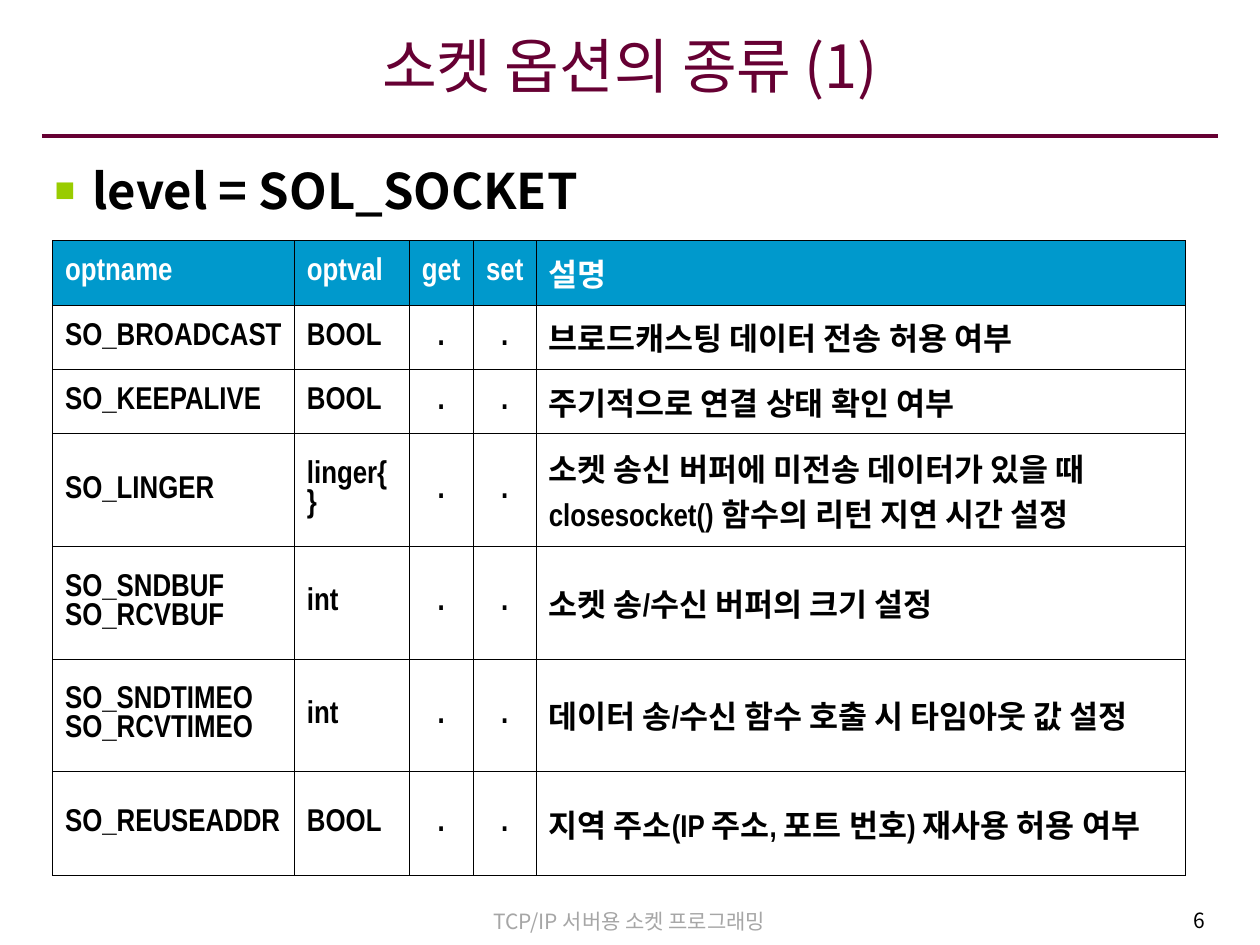
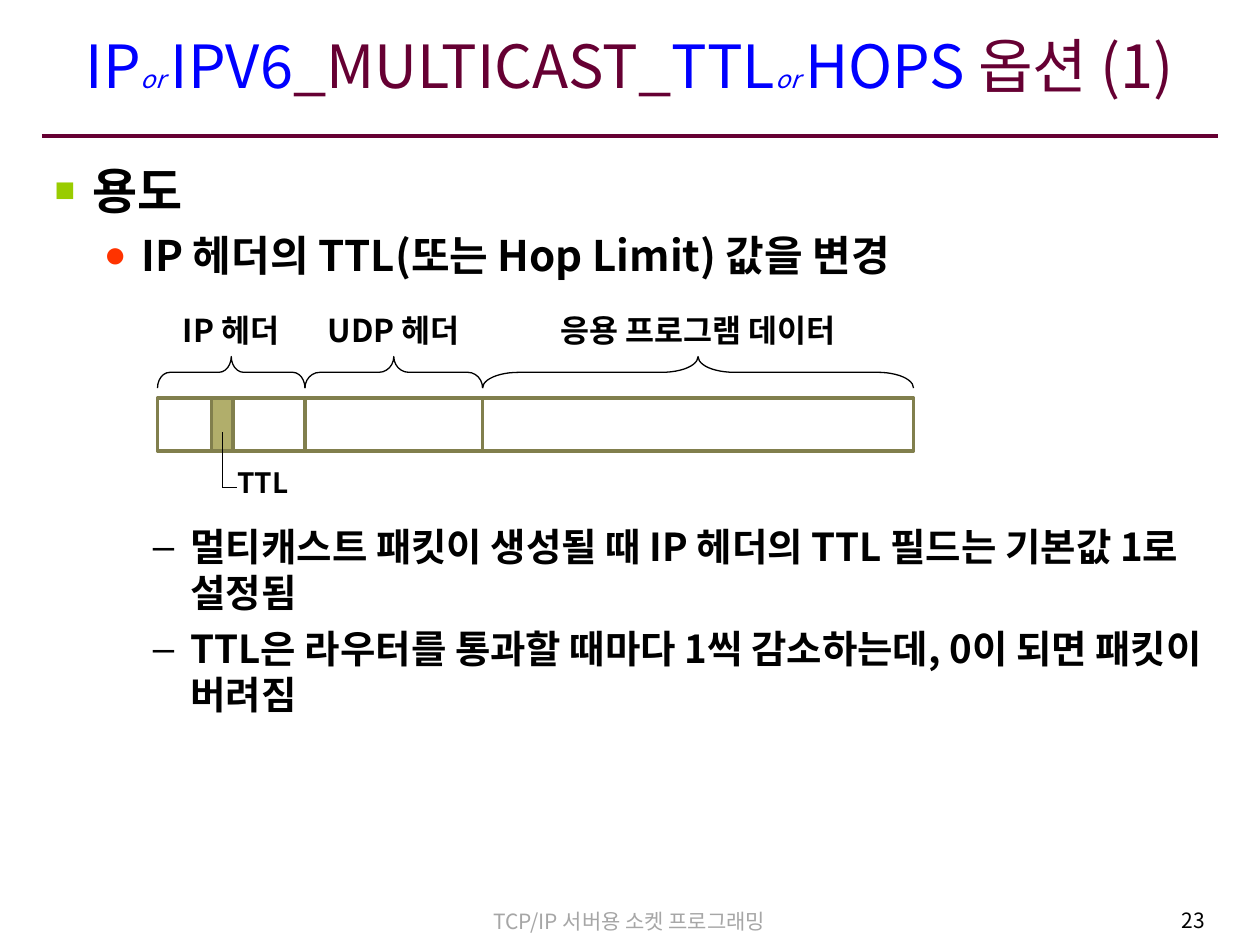
from pptx import Presentation, util as u
from pptx.dml.color import RGBColor
from pptx.enum import shapes, text
from pptx.oxml import xmlchemy

WINE = RGBColor(0x66, 0x00, 0x33)
BLUE = RGBColor(0x00, 0x00, 0xFF)
BLACK = RGBColor(0x00, 0x00, 0x00)
WHITE = RGBColor(0xFF, 0xFF, 0xFF)
GREY = RGBColor(0xA6, 0xA6, 0xA6)
LIME = RGBColor(0x99, 0xCC, 0x00)
RED = RGBColor(0xFF, 0x33, 0x00)
HEADER_BLUE = RGBColor(0x00, 0x99, 0xCC)
OLIVE = RGBColor(0x81, 0x7F, 0x4D)
KHAKI = RGBColor(0xB1, 0xAE, 0x6B)
KOREAN, NARROW, BULLET_FONT = "Noto Sans CJK KR", "Arial Narrow", "Arial"
LEFT, CENTER, RIGHT = text.PP_ALIGN.LEFT, text.PP_ALIGN.CENTER, text.PP_ALIGN.RIGHT

WIDTH, HEIGHT = 10, 7.5
MARGIN = WIDTH / 30
INNER = WIDTH - 2 * MARGIN
FOOTER = "TCP/IP 서버용 소켓 프로그래밍"

LEVELS = [
    dict(size=28, indent=0.3, before=7, bullet="■", color=LIME, percent=70),
    dict(size=24, indent=0.69, before=6, bullet="●", color=RED, percent=90),
    dict(size=22, indent=1.08, before=5.5, bullet="–", color=BLACK, percent=100),
]
DIAGRAM_GAP = 139

OPTIONS_TITLE = [("소켓 옵션의 종류 (1)", WINE)]
OPTIONS_POINTS = [(0, "level = SOL_SOCKET")]
OPTION_COLUMNS = [("optname", 1.92, LEFT), ("optval", 0.91, LEFT), ("get", 0.51, CENTER),
                  ("set", 0.5, CENTER), ("설명", 5.15, LEFT)]
HEADER_HEIGHT = 0.51
OPTIONS = [
    (0.51, "SO_BROADCAST", "BOOL", "브로드캐스팅 데이터 전송 허용 여부"),
    (0.51, "SO_KEEPALIVE", "BOOL", "주기적으로 연결 상태 확인 여부"),
    (0.9, "SO_LINGER", "linger{}",
     "소켓 송신 버퍼에 미전송 데이터가 있을 때\nclosesocket() 함수의 리턴 지연 시간 설정"),
    (0.89, "SO_SNDBUF\nSO_RCVBUF", "int", "소켓 송/수신 버퍼의 크기 설정"),
    (0.89, "SO_SNDTIMEO\nSO_RCVTIMEO", "int", "데이터 송/수신 함수 호출 시 타임아웃 값 설정"),
    (0.83, "SO_REUSEADDR", "BOOL", "지역 주소(IP 주소, 포트 번호) 재사용 허용 여부"),
]

TTL_TITLE = [("IP", BLUE), ("or ", BLUE, 14), ("IPV6", BLUE), ("_MULTICAST_", WINE),
             ("TTL", BLUE), ("or ", BLUE, 14), ("HOPS ", BLUE), ("옵션 (1)", WINE)]
TTL_POINTS = [
    (0, "용도"),
    (1, "IP 헤더의 TTL(또는 Hop Limit) 값을 변경"),
    (2, "멀티캐스트 패킷이 생성될 때 IP 헤더의 TTL 필드는 기본값 1로 설정됨"),
    (2, "TTL은 라우터를 통과할 때마다 1씩 감소하는데, 0이 되면 패킷이 버려짐"),
]
PACKET = [("IP 헤더", 1.17), ("UDP 헤더", 1.41), ("응용 프로그램 데이터", 3.42)]
PACKET_LEFT, LABEL_TOP, BRACE_TOP, FIELD_TOP = 1.25, 2.41, 2.83, 3.16
FIELD_HEIGHT, BRACE_HEIGHT = 0.42, 0.25
TTL_FIELD, TTL_WIDTH, TTL_LABEL_TOP = 1.68, 0.17, 3.62


def inches(*lengths):
    return [u.Inches(length) for length in lengths]


def child(parent, tag, **attributes):
    element = xmlchemy.OxmlElement(tag)
    for key, value in attributes.items():
        element.set(key, str(value))
    parent.append(element)
    return element


def style(paragraph, size, color=BLACK, bold=False, align=LEFT, latin=KOREAN):
    paragraph.alignment = align
    font = paragraph.font
    font.name, font.size, font.bold = latin, u.Pt(size), bold
    font.color.rgb = color


def add_label(slide, words, box, size, wrap=False, **look):
    frame = slide.shapes.add_textbox(*inches(*box)).text_frame
    frame.word_wrap = wrap
    frame.vertical_anchor = text.MSO_ANCHOR.TOP if wrap else text.MSO_ANCHOR.MIDDLE
    frame.text = words
    style(frame.paragraphs[0], size, **look)


def add_line(slide, start, end, color, weight):
    line = slide.shapes.add_connector(shapes.MSO_CONNECTOR.STRAIGHT, *inches(*start, *end))
    line.line.color.rgb, line.line.width = color, u.Pt(weight)
    child(line._element.spPr, "a:effectLst")


def add_outline(slide, kind, box, color, weight, fill=None):
    shape = slide.shapes.add_shape(kind, *inches(*box))
    shape.shadow.inherit = False
    shape.line.color.rgb, shape.line.width = color, u.Pt(weight)
    if fill is None:
        shape.fill.background()
    else:
        shape.fill.solid()
        shape.fill.fore_color.rgb = fill
    return shape


def place(holder, box, anchor, margins):
    holder.left, holder.top, holder.width, holder.height = inches(*box)
    frame = holder.text_frame
    frame.auto_size = text.MSO_AUTO_SIZE.NONE
    frame.vertical_anchor = anchor
    frame.margin_left, frame.margin_top, frame.margin_right, frame.margin_bottom = inches(*margins)
    return frame


def add_bullet(paragraph, level):
    properties = paragraph._p.get_or_add_pPr()
    properties.set("marL", str(u.Inches(level["indent"])))
    properties.set("indent", str(u.Inches(-0.3)))
    color = child(properties, "a:buClr")
    child(color, "a:srgbClr", val=level["color"])
    child(properties, "a:buSzPct", val=level["percent"] * 1000)
    child(properties, "a:buFont", typeface=BULLET_FONT)
    child(properties, "a:buChar", char=level["bullet"])


def add_base(deck, title, points, number):
    slide = deck.slides.add_slide(deck.slide_layouts[1])
    heading = place(slide.shapes.title, (MARGIN, 0.14, INNER, 0.85),
                    text.MSO_ANCHOR.MIDDLE, (0.08, 0.05, 0.08, 0.16)).paragraphs[0]
    style(heading, 34, WINE, align=CENTER)
    for words, color, *small in title:
        run = heading.add_run()
        run.text, run.font.color.rgb = words, color
        if small:
            run.font.size, run.font.italic = u.Pt(small[0]), True

    body = place(slide.placeholders[1], (MARGIN, 1.22, INNER, 5.86),
                 text.MSO_ANCHOR.TOP, (0.1, 0.05, 0.1, 0.05))
    body.text = "\n".join(words for _, words in points)
    previous = 0
    for paragraph, (depth, _) in zip(body.paragraphs, points):
        level = LEVELS[depth]
        paragraph.level = depth
        add_bullet(paragraph, level)
        style(paragraph, level["size"], bold=True)
        after_diagram = depth == 2 and previous == 1
        paragraph.space_before = u.Pt(DIAGRAM_GAP if after_diagram else level["before"])
        previous = depth

    add_line(slide, (MARGIN, 1.08), (WIDTH - MARGIN, 1.08), WINE, 2.25)
    add_label(slide, FOOTER, (2.87, 7.16, 4.25, 0.3), 12, True, color=GREY, align=CENTER)
    add_label(slide, str(number), (7.54, 7.15, 2.12, 0.33), 12, True, align=RIGHT)
    return slide


def add_borders(cell):
    properties = cell._tc.get_or_add_tcPr()
    for position, side in enumerate(("a:lnL", "a:lnR", "a:lnT", "a:lnB")):
        border = child(properties, side, w=u.Pt(0.45))
        child(child(border, "a:solidFill"), "a:srgbClr", val=BLACK)
        properties.insert(position, border)


def add_options(slide):
    names, widths, aligns = zip(*OPTION_COLUMNS)
    heights = [HEADER_HEIGHT] + [option[0] for option in OPTIONS]
    rows = [names] + [(name, value, ".", ".", about) for _, name, value, about in OPTIONS]
    table = slide.shapes.add_table(len(rows), len(names),
                                   *inches(WIDTH / 24, 1.91, sum(widths), sum(heights))).table
    for column, width in zip(table.columns, widths):
        column.width = u.Inches(width)
    for index, (row, height, words) in enumerate(zip(table.rows, heights, rows)):
        row.height = u.Inches(height)
        for cell, content, align in zip(row.cells, words, aligns):
            cell.text = content
            cell.vertical_anchor = text.MSO_ANCHOR.MIDDLE
            cell.margin_left = cell.margin_right = u.Inches(0.1)
            for paragraph in cell.text_frame.paragraphs:
                style(paragraph, 18, BLACK if index else WHITE, True, align, NARROW)
            if index:
                cell.fill.background()
            else:
                cell.fill.solid()
                cell.fill.fore_color.rgb = HEADER_BLUE
            add_borders(cell)


def add_packet(slide):
    left = PACKET_LEFT
    for name, width in PACKET:
        add_label(slide, name, (left, LABEL_TOP, width, FIELD_HEIGHT), 18, bold=True, align=CENTER)
        add_outline(slide, shapes.MSO_SHAPE.RECTANGLE,
                    (left, FIELD_TOP, width, FIELD_HEIGHT), OLIVE, 2)
        brace_box = (left + (width - BRACE_HEIGHT) / 2, BRACE_TOP + (BRACE_HEIGHT - width) / 2,
                     BRACE_HEIGHT, width)
        brace = add_outline(slide, shapes.MSO_SHAPE.LEFT_BRACE, brace_box, BLACK, 0.75)
        brace.rotation = 90
        brace.adjustments[0] = width / BRACE_HEIGHT / 12
        left += width

    add_outline(slide, shapes.MSO_SHAPE.RECTANGLE,
                (TTL_FIELD, FIELD_TOP, TTL_WIDTH, FIELD_HEIGHT), OLIVE, 2, KHAKI)
    add_label(slide, "TTL", (1.5, TTL_LABEL_TOP, 1.17, FIELD_HEIGHT), 16, bold=True, align=CENTER)
    corner = (TTL_FIELD + TTL_WIDTH / 2, 3.87)
    add_line(slide, (corner[0], 3.43), corner, BLACK, 0.75)
    add_line(slide, corner, (1.88, corner[1]), BLACK, 0.75)


def main():
    deck = Presentation()
    deck.slide_width, deck.slide_height = inches(WIDTH, HEIGHT)
    add_options(add_base(deck, OPTIONS_TITLE, OPTIONS_POINTS, 6))
    add_packet(add_base(deck, TTL_TITLE, TTL_POINTS, 23))
    deck.save("out.pptx")


if __name__ == "__main__":
    main()
